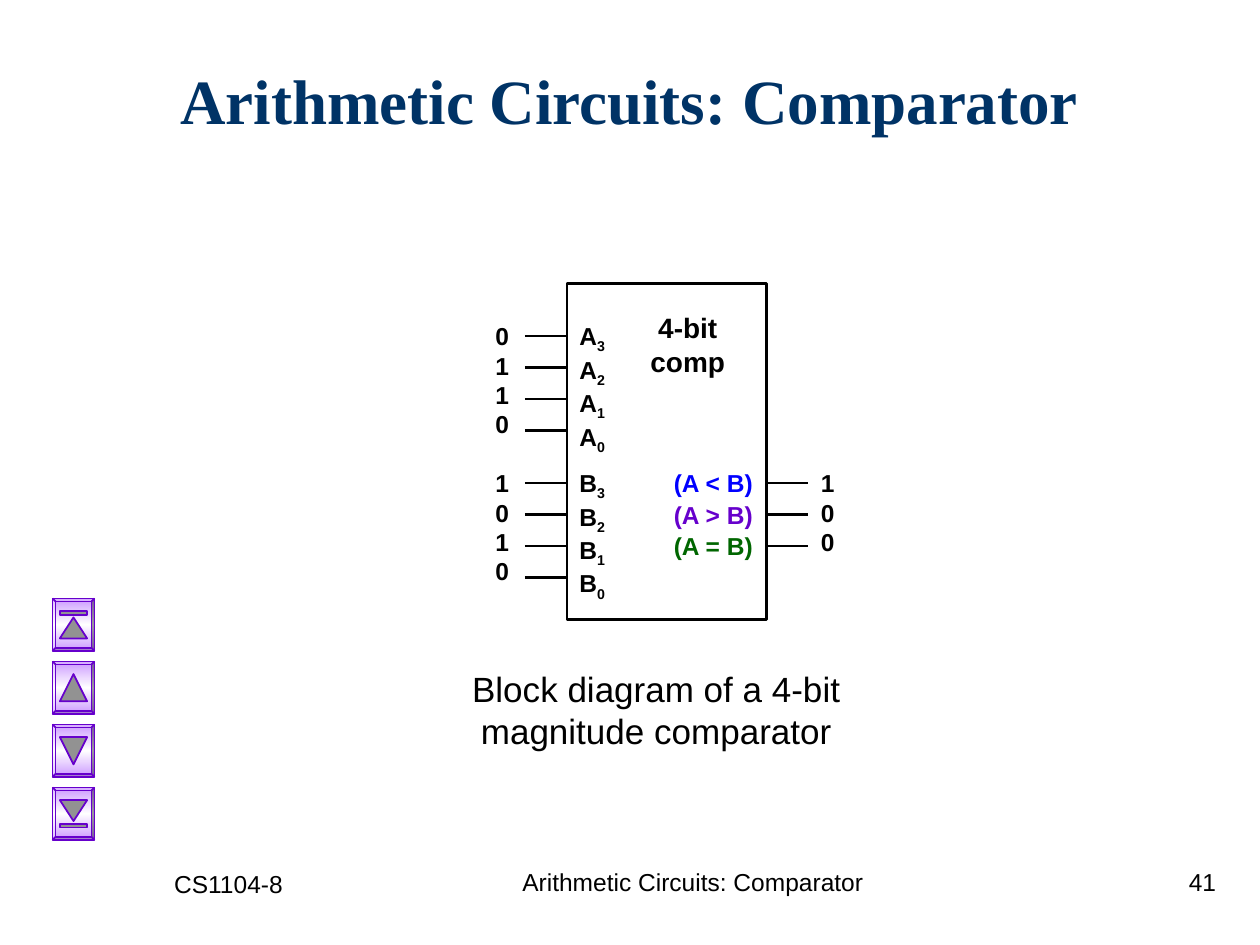
import copy
import dataclasses

import pptx
import pptx.dml.color
import pptx.enum.shapes
import pptx.enum.text
import pptx.oxml
import pptx.oxml.ns
import pptx.util

SHAPE = pptx.enum.shapes.MSO_SHAPE
ALIGN = pptx.enum.text.PP_ALIGN
ANCHOR = pptx.enum.text.MSO_ANCHOR
COLS, ROWS = 120, 90
WIDE, HIGH = pptx.util.Inches(10), pptx.util.Inches(7.5)


def rgb(code):
    return pptx.dml.color.RGBColor.from_string(code)


@dataclasses.dataclass(frozen=True)
class Theme:
    ink: str = "000000"
    navy: str = "003366"
    blue: str = "0000FF"
    violet: str = "6600CC"
    green: str = "006600"
    lilac: str = "CC99FF"
    white: str = "FFFFFF"
    grey: str = "929292"
    sans: str = "Arial"
    serif: str = "Times New Roman"
    head: int = 36
    body: int = 20
    name: int = 16
    label: int = 14
    edge: float = 1.5
    wire: float = 1.25
    thin: float = 1


class Board:
    """Draws on one slide; lengths are columns and rows of the grid."""

    def __init__(self, slide, theme):
        self.shapes, self.theme = slide.shapes, theme

    def place(self, *lengths):
        steps = (WIDE / COLS, HIGH / ROWS) * 2
        return [round(n * step) for n, step in zip(lengths, steps)]

    def text(self, lines, x, y, w, h, color=None, size=None, font=None,
             bold=False, align=ALIGN.LEFT, anchor=ANCHOR.TOP):
        """Each line is a string; what follows an underscore is a subscript."""
        theme = self.theme
        frame = self.shapes.add_textbox(*self.place(x, y, w, h)).text_frame
        frame.word_wrap, frame.vertical_anchor = True, anchor
        style = {"size": pptx.util.Pt(size or theme.label),
                 "name": font or theme.sans, "bold": bold}
        for i, line in enumerate(lines):
            para = frame.add_paragraph() if i else frame.paragraphs[0]
            para.alignment = align
            for j, part in enumerate(line.split("_")):
                run = para.add_run()
                run.text = part
                for key, value in style.items():
                    setattr(run.font, key, value)
                run.font.color.rgb = rgb(color or theme.ink)
                if j:
                    run._r.get_or_add_rPr().set("baseline", "-25000")

    def shape(self, kind, x, y, w, h, line, width, fill=None):
        item = self.shapes.add_shape(kind, *self.place(x, y, w, h))
        item.shadow.inherit = False
        item.line.color.rgb = rgb(line)
        item.line.width = pptx.util.Pt(width)
        if fill:
            item.fill.solid()
            item.fill.fore_color.rgb = rgb(fill)
        else:
            item.fill.background()
        return item

    def wire(self, x, y, end):
        item = self.shapes.add_connector(
            pptx.enum.shapes.MSO_CONNECTOR.STRAIGHT, *self.place(x, y, end, y))
        item.line.color.rgb = rgb(self.theme.ink)
        item.line.width = pptx.util.Pt(self.theme.wire)
        item._element.spPr.append(pptx.oxml.parse_xml(
            "<a:effectLst %s/>" % pptx.oxml.ns.nsdecls("a")))

    def shade(self, item):
        """Fill with lilac at both ends and white in the middle."""
        item.fill.gradient()
        item.fill.gradient_angle = 90
        last = item._element.spPr.findall(".//" + pptx.oxml.ns.qn("a:gs"))[-1]
        last.addprevious(copy.deepcopy(last))
        theme = self.theme
        tones = theme.lilac, theme.white, theme.lilac
        for i, (stop, tone) in enumerate(zip(item.fill.gradient_stops, tones)):
            stop.position = i / 2
            stop.color.rgb = rgb(tone)

    def button(self, x, y, down, bar):
        """A raised key with an arrow, and a bar if it leads to an end."""
        w, h, icon = 4, 5, 2.6
        theme = self.theme
        pen = theme.violet, theme.thin
        key = self.shape(SHAPE.BEVEL, x, y, w, h, *pen)
        key.adjustments[0] = 0.07
        self.shade(key)
        parts = [(SHAPE.ISOSCELES_TRIANGLE, 1.8 if bar else 1.2, 2 if bar else icon)]
        if bar:
            parts.append((SHAPE.RECTANGLE, 1.2, 0.35))
        for kind, top, tall in parts:
            if down:
                top = h - top - tall
            item = self.shape(kind, x + (w - icon) / 2, y + top, icon, tall,
                              *pen, fill=theme.grey)
            item.rotation = 180 if down else 0


def main():
    deck = pptx.Presentation()
    deck.slide_width, deck.slide_height = WIDE, HIGH
    theme = Theme()
    board = Board(deck.slides.add_slide(deck.slide_layouts[6]), theme)
    topic = "Arithmetic Circuits: Comparator"

    board.text([topic], 16, 2, 102, 15, theme.navy, theme.head, theme.serif,
               True, anchor=ANCHOR.MIDDLE)

    left, right, lead, gap = 54, 73, 4, 3
    board.shape(SHAPE.RECTANGLE, left, 27, right - left, 32, theme.ink, theme.edge)
    board.text(["4-bit comp"], 59, 29, 13, 7.7, size=theme.name, bold=True,
               align=ALIGN.CENTER)
    for name, bits, top in (("A", "0110", 30), ("B", "1010", 44)):
        pins = [f"{name}_{i}" for i in (3, 2, 1, 0)]
        board.text(pins, left, top, 5.8, 14, bold=True)
        board.text(bits, 46, top, 5.8, 12.5, bold=True)
        for i in range(len(bits)):
            board.wire(left - lead, top + 2 + gap * i, left)

    tests = (("<", theme.blue), (">", theme.violet), ("=", theme.green))
    for i, (sign, color) in enumerate(tests):
        board.text([f"(A {sign} B)"], 63, 44 + gap * i, 11, 4, color, bold=True)
        board.wire(right, 46 + gap * i, right + lead)
    board.text("100", right + lead, 44, 5.8, 9.6, bold=True)

    board.text(["Block diagram of a 4-bit magnitude comparator"], 43, 63, 39, 9.3,
               size=theme.body, align=ALIGN.CENTER)

    keys = ((False, True), (False, False), (True, False), (True, True))
    for i, (down, bar) in enumerate(keys):
        board.button(5, 57 + 6 * i, down, bar)

    board.text([topic], 47, 82, 38, 6, align=ALIGN.CENTER)
    board.text(["41"], 92, 82, 25, 6, align=ALIGN.RIGHT)
    board.text(["CS1104-8"], 15.4, 82.2, 25, 6)
    deck.save("out.pptx")


if __name__ == "__main__":
    main()
